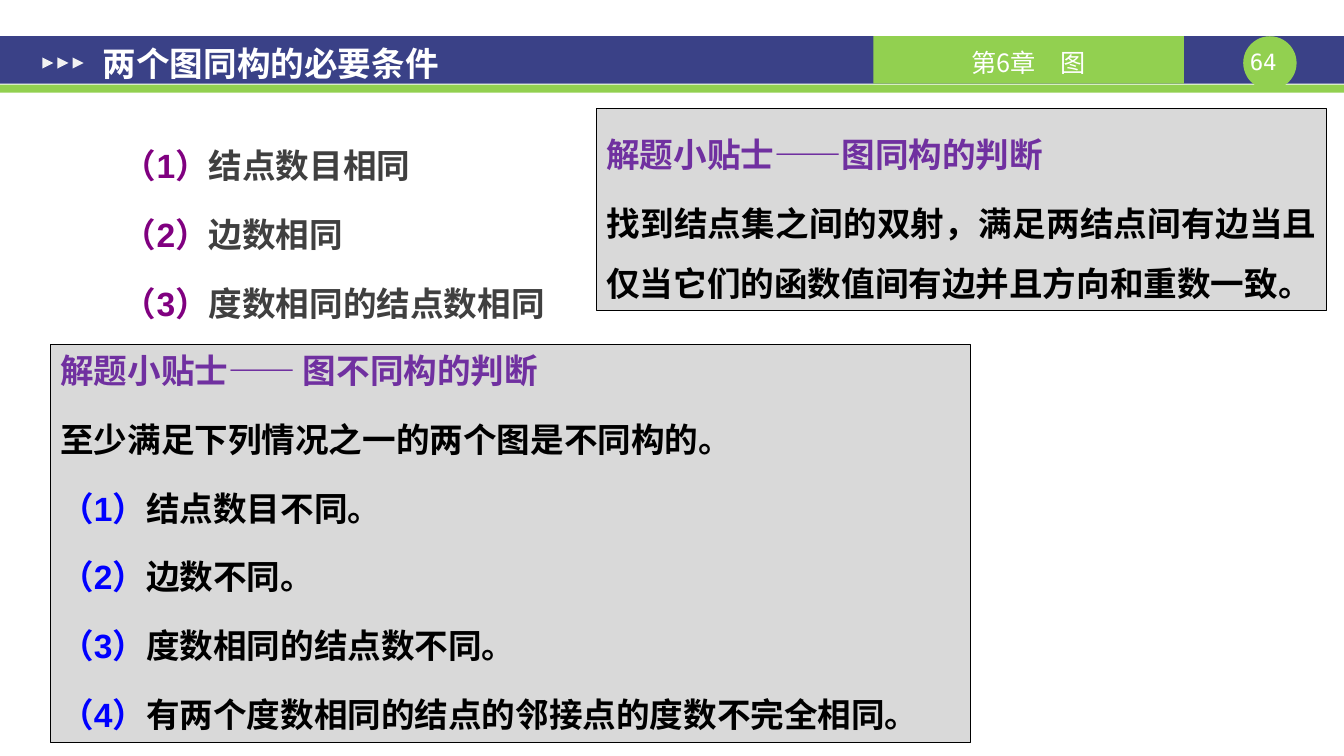
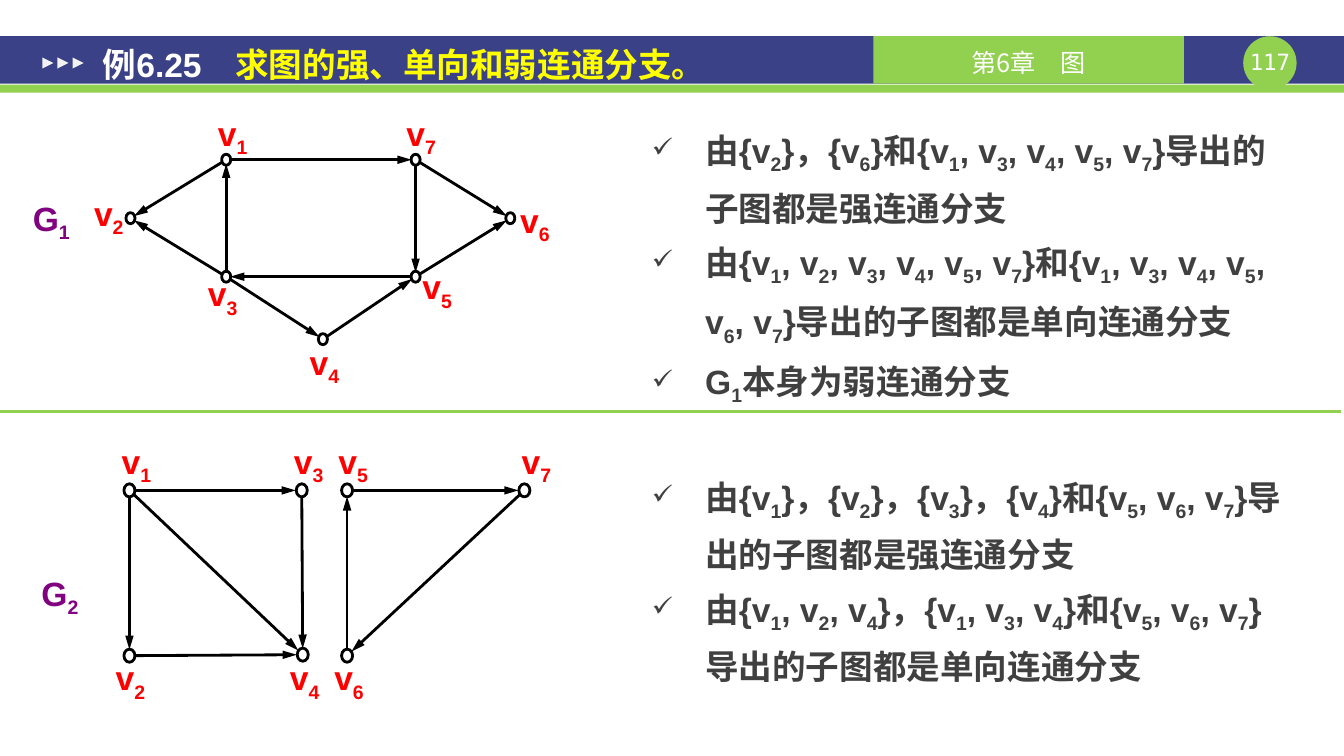
"""Build two slides on graph isomorphism and connected components."""
import math

import pptx
import pptx.dml.color
import pptx.enum.shapes
import pptx.enum.text
import pptx.oxml.ns
import pptx.util
from lxml import etree

PX = 9144
RGBColor = pptx.dml.color.RGBColor
SHAPE = pptx.enum.shapes.MSO_SHAPE
ALIGN = pptx.enum.text.PP_ALIGN
ANCHOR = pptx.enum.text.MSO_ANCHOR
qn = pptx.oxml.ns.qn

NAVY = RGBColor(0x3A, 0x41, 0x87)
GREEN = RGBColor(0x92, 0xD0, 0x50)
WHITE = RGBColor(0xFF, 0xFF, 0xFF)
PALE = RGBColor(0xF2, 0xF2, 0xF2)
GRAY = RGBColor(0xD9, 0xD9, 0xD9)
DARK = RGBColor(0x40, 0x40, 0x40)
BLACK = RGBColor(0x00, 0x00, 0x00)
PLUM = RGBColor(0x80, 0x00, 0x80)
VIOLET = RGBColor(0x70, 0x30, 0xA0)
BLUE = RGBColor(0x00, 0x00, 0xFF)
RED = RGBColor(0xFF, 0x00, 0x00)
YELLOW = RGBColor(0xFF, 0xFF, 0x00)
BODY_INSETS = (13, 7, 13, 7)


def add_box(shapes, kind, box, fill, line=None, weight=0.75):
    """Add a filled preset shape, or a text box when kind is None."""
    lengths = [round(value * PX) for value in box]
    if kind is None:
        return shapes.add_textbox(*lengths)
    shape = shapes.add_shape(kind, *lengths)
    shape.shadow.inherit = False
    shape.fill.solid()
    shape.fill.fore_color.rgb = fill
    if line is None:
        shape.line.fill.background()
    else:
        shape.line.color.rgb = line
        shape.line.width = pptx.util.Pt(weight)
    return shape


def write(shape, paragraphs, insets=(0, 0, 0, 0), align=ALIGN.LEFT, anchor=ANCHOR.TOP,
          spacing=1.0, before=0, size=24, font="Arial", bold=True, bullet=None):
    """Write paragraphs of (text, colour) parts; an underscore lowers the next character."""
    frame = shape.text_frame
    frame.word_wrap = True
    frame.auto_size = pptx.enum.text.MSO_AUTO_SIZE.NONE
    frame.vertical_anchor = anchor
    (frame.margin_left, frame.margin_top,
     frame.margin_right, frame.margin_bottom) = [value * PX for value in insets]
    for index, parts in enumerate(paragraphs):
        paragraph = frame.add_paragraph() if index else frame.paragraphs[0]
        if bullet:
            properties = paragraph._p.get_or_add_pPr()
            properties.set("marL", str(53 * PX))
            properties.set("indent", str(-53 * PX))
            etree.SubElement(properties, qn("a:buSzPct")).set("val", "80000")
            etree.SubElement(properties, qn("a:buChar")).set("char", bullet)
        paragraph.alignment = align
        paragraph.line_spacing = spacing
        paragraph.space_before = pptx.util.Pt(before if index else 0)
        for text, color in parts:
            first, *rest = text.split("_")
            pieces = [(first, False)]
            for piece in rest:
                pieces += [(piece[0], True), (piece[1:], False)]
            for piece, lowered in pieces:
                if not piece:
                    continue
                run = paragraph.add_run()
                run.text = piece
                run.font.size = pptx.util.Pt(size)
                run.font.name = font
                run.font.bold = bold
                run.font.color.rgb = color
                if lowered:
                    run._r.get_or_add_rPr().set("baseline", "-25000")


presentation = pptx.Presentation()
presentation.slide_width = 1334 * PX
presentation.slide_height = 750 * PX

headers = [
    ("64 ", (89, 19, 1016, 87), 1.0, [("两个图同构的必要条件", WHITE)]),
    ("117 ", (89, 17, 1174, 86), 1.2,
     [("例6.25　", WHITE), ("求图的强、单向和弱连通分支。", YELLOW)]),
]
for number, title_box, title_spacing, title_parts in headers:
    slide = presentation.slides.add_slide(presentation.slide_layouts[5])
    shapes = slide.shapes
    add_box(shapes, SHAPE.RECTANGLE, (0, 36, 1334, 47), NAVY)
    add_box(shapes, SHAPE.RECTANGLE, (0, 84, 1334, 8), GREEN)
    add_box(shapes, SHAPE.OVAL, (1234, 36, 53, 53), GREEN)
    number_box = add_box(shapes, None, (1234, 48, 53, 27), None)
    write(number_box, [[(number, WHITE)]], align=ALIGN.CENTER,
          size=16, font="DejaVu Sans Mono", bold=False)
    chapter = add_box(shapes, SHAPE.RECTANGLE, (867, 36, 308, 47), GREEN)
    write(chapter, [[("第6章　图", WHITE)]], (10, 4, 10, 0), ALIGN.CENTER, ANCHOR.MIDDLE,
          size=18, font="Noto Sans CJK SC", bold=False)
    for step in range(3):
        marker = add_box(shapes, SHAPE.ISOSCELES_TRIANGLE, (42 + 15 * step, 57, 11, 11), PALE)
        marker.rotation = 90
    title = shapes.title
    title.left, title.top, title.width, title.height = [value * PX for value in title_box]
    write(title, [title_parts], BODY_INSETS, anchor=ANCHOR.MIDDLE, spacing=title_spacing)
    shapes._spTree.append(title._element)

conditions_slide, components_slide = presentation.slides

shapes = conditions_slide.shapes
conditions = ["结点数目相同", "边数相同", "度数相同的结点数相同"]
condition_box = add_box(shapes, None, (109, 117, 822, 219), None)
write(condition_box,
      [[(f"（{index}）", PLUM), (text, DARK)] for index, text in enumerate(conditions, 1)],
      BODY_INSETS, spacing=1.5, before=6)

differences = ["结点数目不同。", "边数不同。", "度数相同的结点数不同。",
               "有两个度数相同的结点的邻接点的度数不完全相同。"]
same_tip = [
    [("解题小贴士——图同构的判断", VIOLET)],
    [("找到结点集之间的双射，满足两结点间有边当且仅当它们的函数值间有边并且方向和重数一致。", BLACK)],
]
different_tip = [
    [("解题小贴士—— 图不同构的判断", VIOLET)],
    [("至少满足下列情况之一的两个图是不同构的。", BLACK)],
] + [[(f"（{index}）", BLUE), (text, BLACK)] for index, text in enumerate(differences, 1)]
tips = [((592, 108, 725, 200), same_tip, 1.5), ((50, 342, 913, 395), different_tip, 1.0)]
for box, paragraphs, heading_spacing in tips:
    tip = add_box(shapes, SHAPE.RECTANGLE, box, GRAY, BLACK)
    write(tip, paragraphs, (10, 5, 10, 5), ALIGN.JUSTIFY, spacing=1.5, before=6)
    tip.text_frame.paragraphs[0].line_spacing = heading_spacing

shapes = components_slide.shapes
components = [
    "由{v_2}，{v_6}和{v_1, v_3, v_4, v_5, v_7}导出的子图都是强连通分支",
    "由{v_1, v_2, v_3, v_4, v_5, v_7}和{v_1, v_3, v_4, v_5, v_6, v_7}导出的子图都是单向连通分支",
    "G_1本身为弱连通分支",
    "由{v_1}，{v_2}，{v_3}，{v_4}和{v_5, v_6, v_7}导出的子图都是强连通分支",
    "由{v_1, v_2, v_4}，{v_1, v_3, v_4}和{v_5, v_6, v_7}导出的子图都是单向连通分支",
]
component_box = add_box(shapes, None, (634, 108, 656, 624), None)
write(component_box, [[(text, DARK)] for text in components],
      BODY_INSETS, spacing=1.3, bullet="✓")
component_box.text_frame.paragraphs[3].space_before = pptx.util.Pt(40)

graphs = [
    {
        "name": "G_1", "name_box": (26, 196, 50, 44),
        "node_size": (9, 11), "label_size": (36, 54), "gap": 4,
        "nodes": {1: (220, 153), 2: (125, 211), 3: (220, 269), 4: (316, 331),
                  5: (408, 269), 6: (502, 211), 7: (408, 153)},
        "labels": {1: (213, 112), 2: (90, 191), 3: (203, 271), 4: (304, 339),
                   5: (416, 264), 6: (513, 198), 7: (400, 112)},
        "edges": [(3, 1), (1, 7), (5, 3), (7, 5), (1, 2), (3, 2),
                  (7, 6), (5, 6), (3, 4), (4, 5)],
    },
    {
        "name": "G_2", "name_box": (30, 568, 59, 47),
        "node_size": (11, 13), "label_size": (43, 50), "gap": 6,
        "nodes": {1: (123, 480), 2: (123, 644), 3: (294, 480), 4: (295, 643),
                  5: (339, 480), 6: (339, 644), 7: (515, 480)},
        "labels": {1: (114, 437), 2: (108, 652), 3: (285, 437), 4: (281, 652),
                   5: (329, 437), 6: (325, 652), 7: (511, 437)},
        "edges": [(1, 2), (1, 3), (2, 4), (3, 4), (1, 4), (6, 5), (5, 7), (7, 6)],
    },
]
lines = []
for graph in graphs:
    group = shapes.add_group_shape()
    width, height = graph["node_size"]
    for left, top in graph["nodes"].values():
        add_box(group.shapes, SHAPE.OVAL, (left, top, width, height), WHITE, BLACK, 2)
    texts = [(graph["name"], graph["name_box"], PLUM)]
    texts += [(f"v_{node}", place + graph["label_size"], RED)
              for node, place in graph["labels"].items()]
    for text, box, color in texts:
        label = add_box(group.shapes, None, box, None)
        write(label, [[(text, color)]], align=ALIGN.CENTER)
    for start, end in graph["edges"]:
        (x1, y1), (x2, y2) = [(graph["nodes"][node][0] + width / 2,
                               graph["nodes"][node][1] + height / 2) for node in (start, end)]
        share = graph["gap"] / math.hypot(x2 - x1, y2 - y1)
        dx, dy = (x2 - x1) * share, (y2 - y1) * share
        lines.append((group.shapes, (x1 + dx, y1 + dy, x2 - dx, y2 - dy), BLACK, 2, True))
lines.append((shapes, (0, 408, 1331, 408), GREEN, 2.25, False))

for parent, ends, color, weight, arrow in lines:
    connector = parent.add_connector(pptx.enum.shapes.MSO_CONNECTOR.STRAIGHT,
                                     *[round(value * PX) for value in ends])
    connector.line.color.rgb = color
    connector.line.width = pptx.util.Pt(weight)
    if arrow:
        tail = etree.SubElement(connector.line._get_or_add_ln(), qn("a:tailEnd"))
        tail.set("type", "triangle")
        tail.set("w", "med")
        tail.set("len", "lg")
    etree.SubElement(connector._element.spPr, qn("a:effectLst"))

presentation.save("out.pptx")
